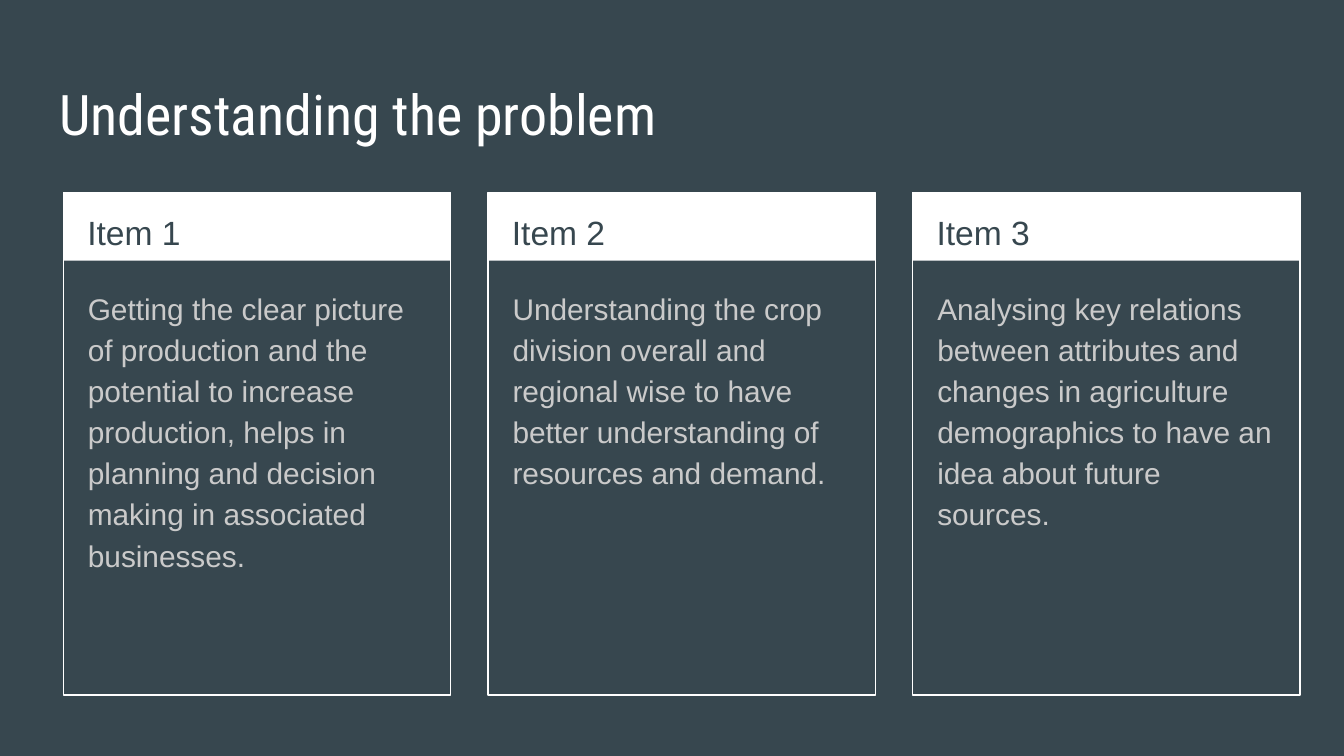
"""Build a slide with three outlined cards that explain the problem."""
from pptx import Presentation
from pptx.dml.color import RGBColor
from pptx.enum.shapes import MSO_SHAPE
from pptx.enum.text import MSO_ANCHOR, MSO_AUTO_SIZE, PP_ALIGN
from pptx.util import Pt

RECTANGLE = MSO_SHAPE.RECTANGLE
TOP = MSO_ANCHOR.TOP
NO_AUTOFIT = MSO_AUTO_SIZE.NONE
LEFT = PP_ALIGN.LEFT

SLATE = RGBColor(0x37, 0x47, 0x4F)
WHITE = RGBColor(0xFF, 0xFF, 0xFF)
LIGHT_GREY = RGBColor(0xCA, 0xCA, 0xCA)

TITLE_ONLY = 5
INSET = Pt(7.2)
CARD_LEFT, CARD_TOP, CARD_PITCH = 34, 103, 227.5
CARD_WIDTH, CARD_HEIGHT, HEADER_HEIGHT = 207.4, 269.3, 36.7

CARDS = [
    ("Item 1", "Getting the clear picture of production and the potential to "
               "increase production, helps in planning and decision making in "
               "associated businesses."),
    ("Item 2", "Understanding the crop division overall and regional wise to "
               "have better understanding of resources and demand."),
    ("Item 3", "Analysing key relations between attributes and changes in "
               "agriculture demographics to have an idea about future sources."),
]


def write_text(box, text, font, size, color, line_spacing=1.0):
    """Fill a text shape with one formatted, top-left aligned paragraph."""
    frame = box.text_frame
    frame.text = text
    frame.word_wrap = True
    frame.auto_size = NO_AUTOFIT
    frame.vertical_anchor = TOP
    frame.margin_left = frame.margin_right = INSET
    frame.margin_top = frame.margin_bottom = INSET
    para = frame.paragraphs[0]
    para.alignment = LEFT
    para.line_spacing = line_spacing
    para.space_before = Pt(0)
    span = para.runs[0]
    span.font.name = font
    span.font.size = Pt(size)
    span.font.color.rgb = color


def add_title(page, text):
    """Place and format the title placeholder."""
    title = page.shapes.title
    title.left, title.top = Pt(24.5), Pt(35.3)
    title.width, title.height = Pt(671), Pt(45.4)
    write_text(title, text, "Roboto Condensed", 30, WHITE)


def add_rectangle(page, left, height):
    """Add a plain rectangle that starts at the top of a card."""
    box = page.shapes.add_shape(
        RECTANGLE, Pt(left), Pt(CARD_TOP), Pt(CARD_WIDTH), Pt(height))
    box.shadow.inherit = False
    return box


def add_text_box(page, left, top, width, height, text, size, color):
    """Add a text box in the card font."""
    box = page.shapes.add_textbox(Pt(left), Pt(top), Pt(width), Pt(height))
    write_text(box, text, "Arial", size, color, 1.15)


def add_card(page, left, heading, body):
    """Add a card with a filled header, an outline and its two texts."""
    header = add_rectangle(page, left, HEADER_HEIGHT)
    header.fill.solid()
    header.fill.fore_color.rgb = WHITE
    header.line.fill.background()

    outline = add_rectangle(page, left, CARD_HEIGHT)
    outline.fill.background()
    outline.line.color.rgb = WHITE
    outline.line.width = Pt(0.75)

    add_text_box(page, left + 5.7, CARD_TOP, 196.6, 36, heading, 18, SLATE)
    add_text_box(page, left + 6, CARD_TOP + 42.5, 195.1, 220.3, body, 16,
                 LIGHT_GREY)


def main():
    """Create the deck and save it."""
    deck = Presentation()
    deck.slide_width, deck.slide_height = Pt(720), Pt(405)
    page = deck.slides.add_slide(deck.slide_layouts[TITLE_ONLY])
    page.background.fill.solid()
    page.background.fill.fore_color.rgb = SLATE

    add_title(page, "Understanding the problem")
    for index, (heading, body) in enumerate(CARDS):
        add_card(page, CARD_LEFT + index * CARD_PITCH, heading, body)
    deck.save("out.pptx")


if __name__ == "__main__":
    main()
